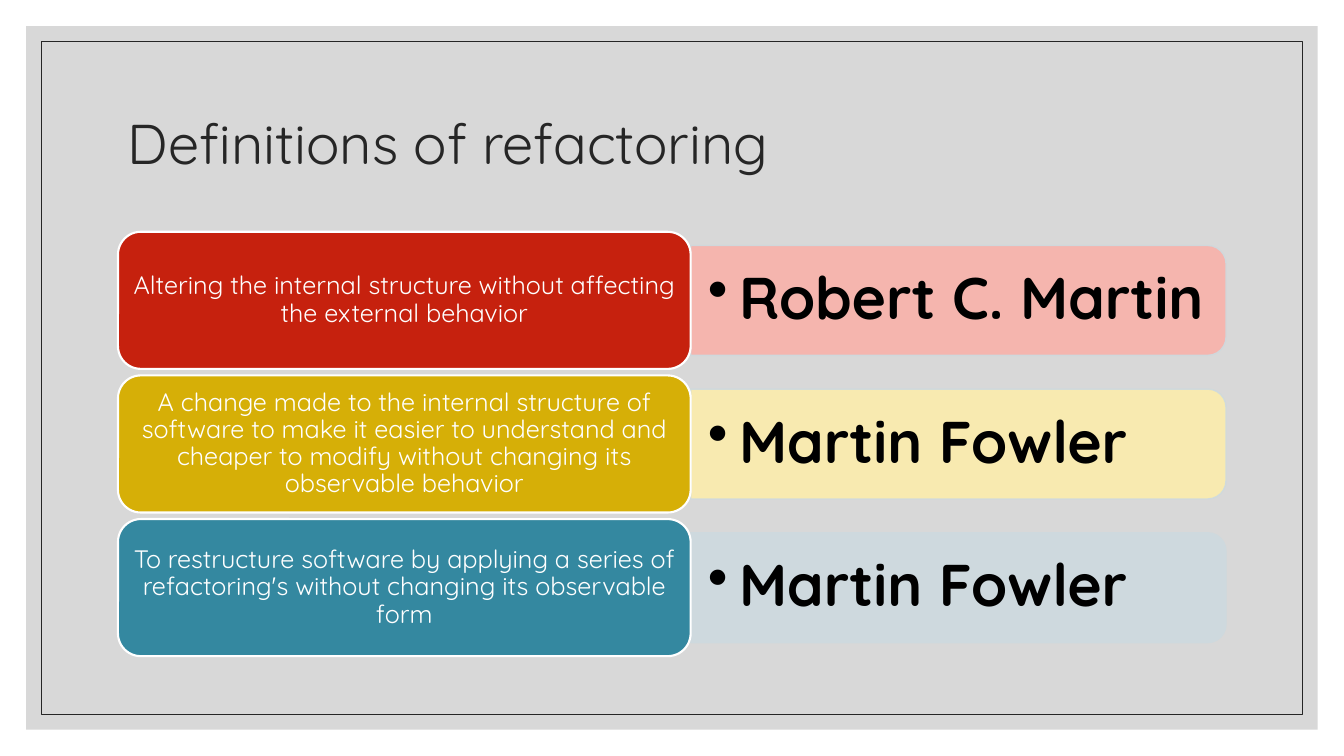
import pptx
import pptx.dml.color
import pptx.enum.shapes
import pptx.enum.text
import pptx.oxml
import pptx.oxml.ns
import pptx.util

SHAPES = pptx.enum.shapes.MSO_SHAPE
ALIGN = pptx.enum.text.PP_ALIGN
MIDDLE = pptx.enum.text.MSO_ANCHOR.MIDDLE
Inches = pptx.util.Inches

COLORS = {
    "backdrop": "BFBFBF", "ink": "262626", "white": "FFFFFF", "black": "000000",
    "red": "C6210E", "pink": "F9B2AA",
    "gold": "D6AF07", "cream": "FCEDAC",
    "teal": "3488A0", "mist": "CEDADF",
}
FONT = "Quicksand"

# Grid: a card column and an author column, with one row per definition
WIDTH, HEIGHT = 13.33, 7.5
LEFT, TOP = 1.17, 2.3
CARD_WIDTH, CARD_HEIGHT, ROW_PITCH = 5.68, 1.36, 1.425
PANEL_LENGTH, PANEL_THICKNESS = 5.31, 1.09
AUTHOR_WIDTH, AUTHOR_HEIGHT = 5.26, 0.98
BULLET_INDENT = 0.31

DEFINITIONS = [
    ("Altering the internal structure without affecting the external behavior",
     "Robert C. Martin", "red", "pink"),
    ("A change made to the internal structure of software to make it easier to "
     "understand and cheaper to modify without changing its observable behavior",
     "Martin Fowler", "gold", "cream"),
    ("To restructure software by applying a series of refactoring's without "
     "changing its observable form",
     "Martin Fowler", "teal", "mist"),
]


def set_values(target, values):
    for name, value in values.items():
        setattr(target, name, value)


def rgb(color):
    return pptx.dml.color.RGBColor.from_string(COLORS[color])


def paint(fill, color, opacity=100):
    fill.solid()
    fill.fore_color.rgb = rgb(color)
    if opacity < 100:
        element = fill._xPr.find(".//" + pptx.oxml.ns.qn("a:srgbClr"))
        alpha = pptx.oxml.parse_xml(
            f'<a:alpha {pptx.oxml.ns.nsdecls("a")} val="{opacity * 1000}"/>')
        element.append(alpha)


def add_box(slide, kind, box, fill=None, line=None, line_width=1, opacity=100):
    shape = slide.shapes.add_shape(kind, *map(Inches, box))
    shape.shadow.inherit = False
    if fill:
        paint(shape.fill, fill, opacity)
    else:
        shape.fill.background()
    if line:
        shape.line.width = pptx.util.Pt(line_width)
        paint(shape.line.fill, line, opacity)
    else:
        shape.line.fill.background()
    return shape


def write(shape, text, size, color, align=ALIGN.LEFT, bold=False, margins=(0.1, 0.05)):
    side, edge = map(Inches, margins)
    frame = shape.text_frame
    set_values(frame, {
        "word_wrap": True, "vertical_anchor": MIDDLE,
        "margin_left": side, "margin_right": side,
        "margin_top": edge, "margin_bottom": edge,
    })
    paragraph = frame.paragraphs[0]
    set_values(paragraph, {"alignment": align, "line_spacing": 0.9})
    run = paragraph.add_run()
    run.text = text
    set_values(run.font, {"name": FONT, "size": pptx.util.Pt(size), "bold": bold})
    run.font.color.rgb = rgb(color)
    return paragraph


def add_bullet(paragraph):
    properties = paragraph._p.get_or_add_pPr()
    indent = Inches(BULLET_INDENT)
    properties.set("marL", str(indent))
    properties.set("indent", str(-indent))
    properties.append(pptx.oxml.parse_xml(
        f'<a:buChar {pptx.oxml.ns.nsdecls("a")} char="•"/>'))


def add_frame(slide):
    for inset, style in (
        (0.26, {"fill": "backdrop", "opacity": 60}),
        (0.41, {"line": "ink", "line_width": 0.5}),
    ):
        box = (inset, inset, WIDTH - 2 * inset, HEIGHT - 2 * inset)
        add_box(slide, SHAPES.RECTANGLE, box, **style)


def add_definition(slide, row, definition, author, card_color, panel_color):
    top = TOP + row * ROW_PITCH
    middle = top + CARD_HEIGHT / 2
    author_left = LEFT + CARD_WIDTH

    # Author panel, turned so that its rounded end faces right
    panel_box = (author_left + (PANEL_LENGTH - PANEL_THICKNESS) / 2,
                 middle - PANEL_LENGTH / 2, PANEL_THICKNESS, PANEL_LENGTH)
    panel = add_box(slide, SHAPES.ROUND_2_SAME_RECTANGLE, panel_box,
                    panel_color, "mist", opacity=90)
    panel.rotation = 90

    # Author name
    name_box = (author_left, middle - AUTHOR_HEIGHT / 2, AUTHOR_WIDTH, AUTHOR_HEIGHT)
    name = slide.shapes.add_textbox(*map(Inches, name_box))
    add_bullet(write(name, author, 42, "black", bold=True, margins=(0.17, 0.09)))

    # Definition card
    card = add_box(slide, SHAPES.ROUNDED_RECTANGLE, (LEFT, top, CARD_WIDTH, CARD_HEIGHT),
                   card_color, "white", 1.5)
    write(card, definition, 18, "white", ALIGN.CENTER, margins=(0.07, 0.04))


def main():
    presentation = pptx.Presentation()
    set_values(presentation, {"slide_width": Inches(WIDTH), "slide_height": Inches(HEIGHT)})
    slide = presentation.slides.add_slide(presentation.slide_layouts[6])
    paint(slide.background.fill, "white")
    add_frame(slide)

    # Title
    title = slide.shapes.add_textbox(*map(Inches, (LEFT, 0.7, 11, 1.5)))
    write(title, "Definitions of refactoring", 40, "ink")

    for row, entry in enumerate(DEFINITIONS):
        add_definition(slide, row, *entry)
    presentation.save("out.pptx")


if __name__ == "__main__":
    main()
